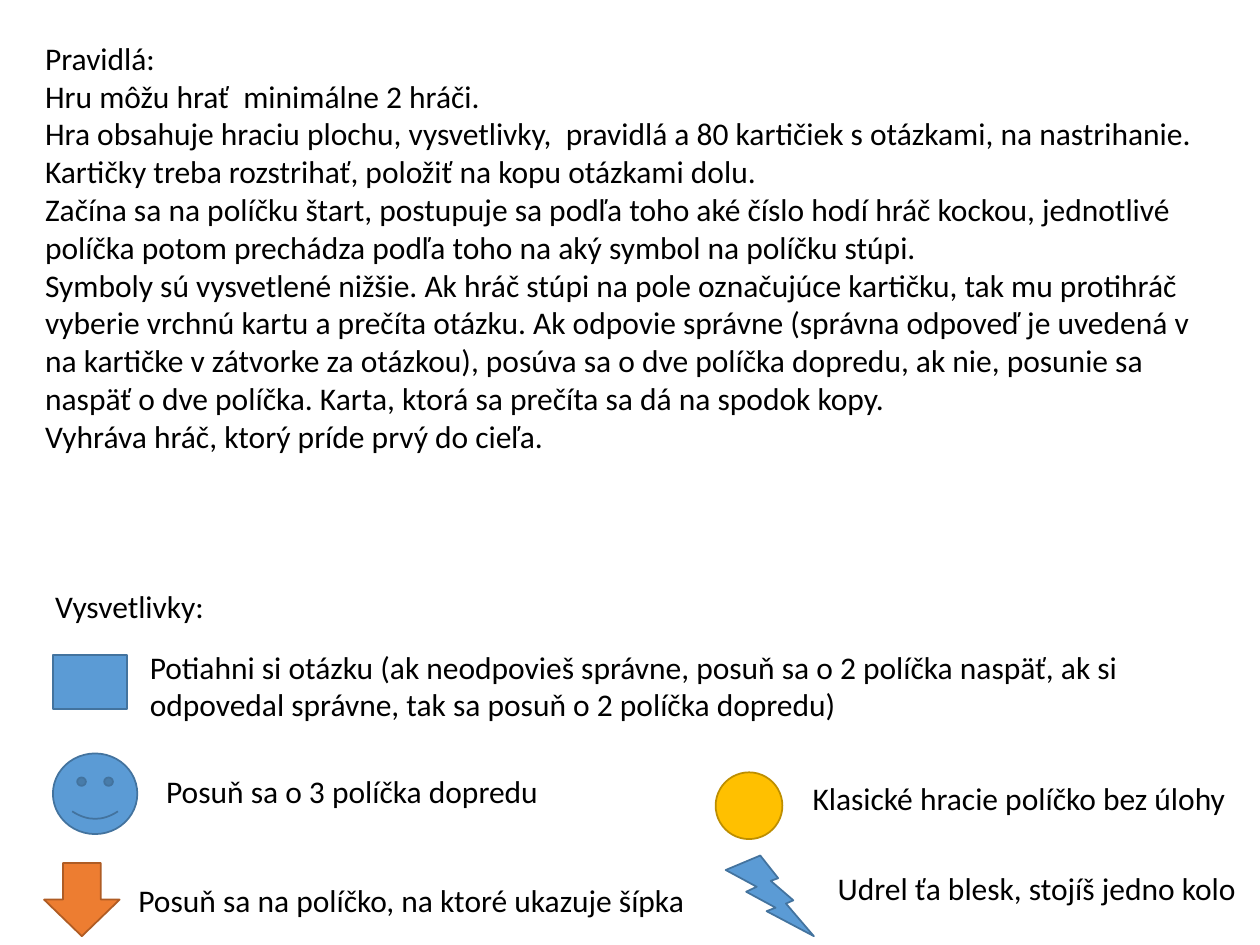
from pptx import Presentation
from pptx.dml.color import RGBColor
from pptx.enum.shapes import MSO_SHAPE as Preset
from pptx.enum.text import MSO_AUTO_SIZE as AutoSize
from pptx.util import Inches, Pt

BLUE = ("5B9BD5", "43739E")
GOLD = ("FFC000", "BD8E00")
ORANGE = ("ED7D31", "AF5C24")

RULES = [
    "Pravidlá:",
    "Hru môžu hrať  minimálne 2 hráči.",
    "Hra obsahuje hraciu plochu, vysvetlivky,  pravidlá a 80 kartičiek s otázkami, na nastrihanie.",
    "Kartičky treba rozstrihať, položiť na kopu otázkami dolu.",
    "Začína sa na políčku štart, postupuje sa podľa toho aké číslo hodí hráč kockou, "
    "jednotlivé políčka potom prechádza podľa toho na aký symbol na políčku stúpi.",
    "Symboly sú vysvetlené nižšie. Ak hráč stúpi na pole označujúce kartičku, tak mu protihráč "
    "vyberie vrchnú kartu a prečíta otázku. Ak odpovie správne (správna odpoveď je uvedená v "
    "na kartičke v zátvorke za otázkou), posúva sa o dve políčka dopredu, ak nie, posunie sa "
    "naspäť o dve políčka. Karta, ktorá sa prečíta sa dá na spodok kopy.",
    "Vyhráva hráč, ktorý príde prvý do cieľa.",
]

LEGEND = [
    (Preset.SMILEY_FACE, BLUE, (0.42, 5.98, 0.67, 0.64),
     "Posuň sa o 3 políčka dopredu", (1.22, 6.08, 3.9, 0.4)),
    (Preset.RECTANGLE, BLUE, (0.42, 5.2, 0.59, 0.43),
     "Potiahni si otázku (ak neodpovieš správne, posuň sa o 2 políčka naspäť, ak si "
     "odpovedal správne, tak sa posuň o 2 políčka dopredu)", (1.09, 5.09, 8.82, 0.71)),
    (Preset.OVAL, GOLD, (5.68, 6.13, 0.53, 0.53),
     "Klasické hracie políčko bez úlohy", (6.35, 6.13, 5.15, 0.4)),
    (Preset.LIGHTNING_BOLT, BLUE, (5.76, 6.79, 0.7, 0.64),
     "Udrel ťa blesk, stojíš jedno kolo", (6.55, 6.85, 3.77, 0.4)),
    (Preset.DOWN_ARROW, ORANGE, (0.35, 6.85, 0.6, 0.58),
     "Posuň sa na políčko, na ktoré ukazuje šípka", (1, 6.94, 5.07, 0.4)),
]


def color(value):
    """Turn a hex string into a colour."""
    return RGBColor.from_string(value)


def add_symbol(slide, preset, colors, box):
    """Draw one board symbol with its fill and outline."""
    shape = slide.shapes.add_shape(preset, *map(Inches, box))
    shape.shadow.inherit = False
    fill, line = colors
    shape.fill.solid()
    shape.fill.fore_color.rgb = color(fill)
    shape.line.color.rgb = color(line)
    shape.line.width = Pt(1)


def add_text(slide, lines, box, size=18, font="Calibri", ink="000000"):
    """Write each line as a paragraph of one wrapping text box."""
    frame = slide.shapes.add_textbox(*map(Inches, box)).text_frame
    frame.word_wrap = True
    frame.auto_size = AutoSize.SHAPE_TO_FIT_TEXT
    frame.text = "\n".join(lines)
    for paragraph in frame.paragraphs:
        paragraph.font.size = Pt(size)
        paragraph.font.name = font
        paragraph.font.color.rgb = color(ink)


def main():
    """Build the slide with the game rules and the legend."""
    presentation = Presentation()
    presentation.slide_width = Inches(10)
    presentation.slide_height = Inches(7.5)
    slide = presentation.slides.add_slide(presentation.slide_layouts[6])
    for preset, colors, symbol_box, label, label_box in LEGEND:
        add_symbol(slide, preset, colors, symbol_box)
        add_text(slide, [label], label_box)
    add_text(slide, ["Vysvetlivky:"], (0.34, 4.61, 2.76, 0.4))
    add_text(slide, RULES, (0.26, 0.26, 9.47, 3.43))
    presentation.save("out.pptx")


if __name__ == "__main__":
    main()
